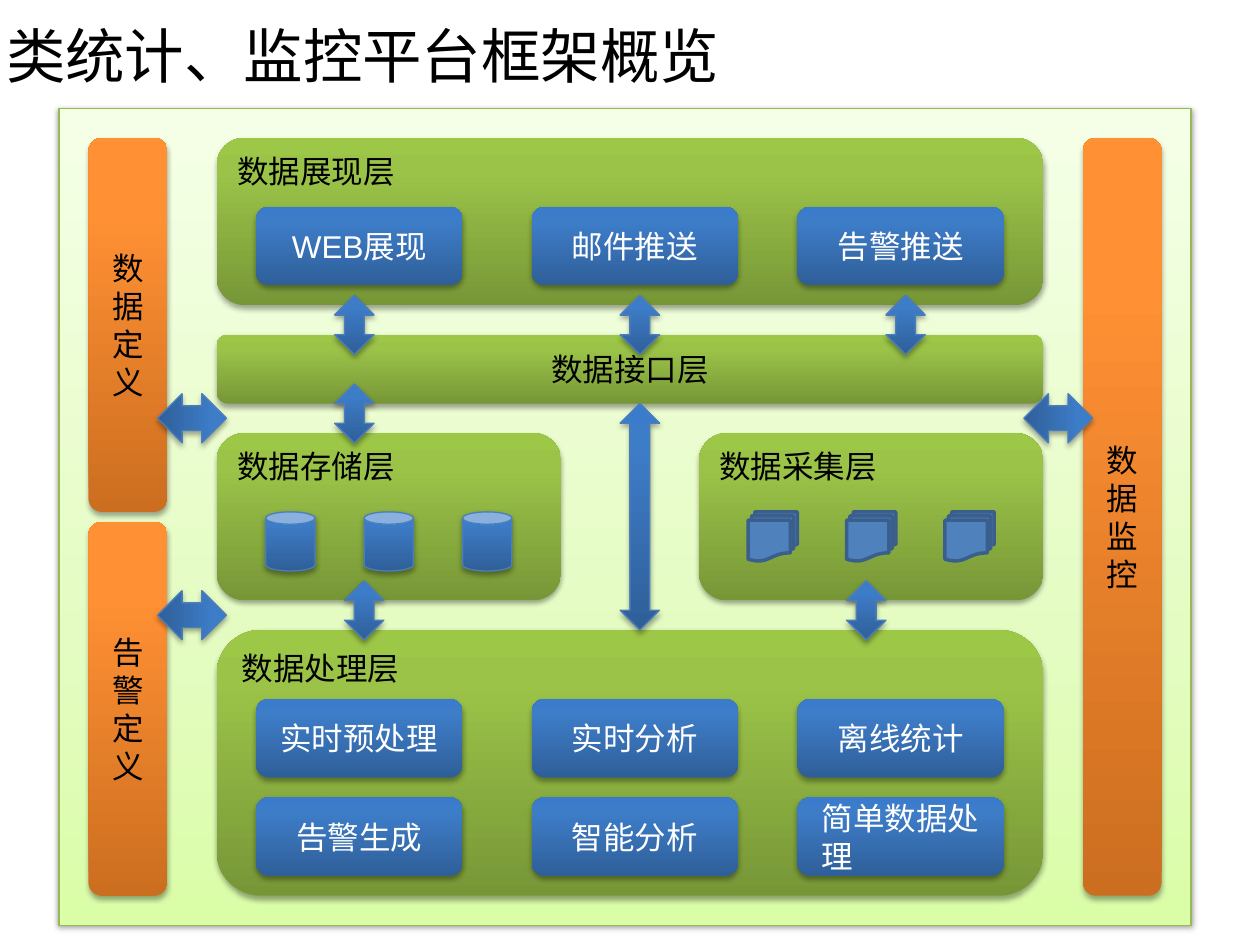
from dataclasses import dataclass

from lxml import etree
from pptx import Presentation
from pptx.dml.color import RGBColor
from pptx.enum.shapes import MSO_SHAPE
from pptx.enum.text import MSO_ANCHOR, MSO_AUTO_SIZE, PP_ALIGN
from pptx.oxml.ns import qn
from pptx.util import Pt

RECT, ROUNDED = MSO_SHAPE.RECTANGLE, MSO_SHAPE.ROUNDED_RECTANGLE
CYLINDER, DOCUMENTS = MSO_SHAPE.CAN, MSO_SHAPE.FLOWCHART_MULTIDOCUMENT
DOUBLE_ARROW = MSO_SHAPE.UP_DOWN_ARROW
TOP, MIDDLE = MSO_ANCHOR.TOP, MSO_ANCHOR.MIDDLE
LEFT, NO_FIT = PP_ALIGN.LEFT, MSO_AUTO_SIZE.NONE
TITLE_ONLY = 5
CELL = 45 / 8  # the diagram lies on a grid of square cells, in points


@dataclass(frozen=True)
class Theme:
    title_font: str = "Calibri"
    body_font: str = "Arial"
    title_size: int = 34
    body_size: int = 18
    dark: str = "000000"
    light: str = "FFFFFF"
    # Gradients run from bottom to top: (percent, colour)
    pale: tuple = ((0, "DAFDA7"), (35, "E4FCC2"), (100, "F5FFE7"))
    green: tuple = ((0, "779737"), (80, "9BC348"), (100, "9DC746"))
    blue: tuple = ((0, "2F5F99"), (80, "3D7CC7"), (100, "3A7CCB"))
    orange: tuple = ((0, "CC6E20"), (80, "FF9034"), (100, "FF9136"))
    canvas_line: str = "98B955"
    blue_line: str = "4B7EBC"
    document: str = "4F81BD"
    document_line: str = "3A5F8C"


THEME = Theme()


@dataclass(frozen=True)
class Box:
    """A rectangle in grid cells."""
    left: float
    top: float
    width: float
    height: float

    def inner(self, left, top, width, height):
        return Box(self.left + left, self.top + top, width, height)

    def lengths(self):
        return [Pt(CELL * n) for n in (self.left, self.top, self.width, self.height)]


def add_node(parent, tag, **attributes):
    node = etree.SubElement(parent, qn(tag))
    for name, value in attributes.items():
        node.set(name, str(value))
    return node


def set_gradient(shape, stops):
    shape.fill.gradient()
    gradient = shape.fill._xPr.find(qn("a:gradFill"))
    gradient.set("rotWithShape", "1")
    for child in list(gradient):
        gradient.remove(child)
    stop_list = add_node(gradient, "a:gsLst")
    for percent, colour in stops:
        stop = add_node(stop_list, "a:gs", pos=percent * 1000)
        add_node(stop, "a:srgbClr", val=colour)
    add_node(gradient, "a:lin", ang=270 * 60000, scaled=0)


def set_shadow(shape, opacity, distance):
    effects = shape._element.spPr.find(qn("a:effectLst"))
    shadow = add_node(effects, "a:outerShdw", blurRad=Pt(3.1), dist=Pt(distance),
                      dir=90 * 60000, rotWithShape=0)
    colour = add_node(shadow, "a:srgbClr", val=THEME.dark)
    add_node(colour, "a:alpha", val=opacity * 1000)


def add_figure(page, kind, box, fill, line=None, line_width=0.75):
    shape = page.shapes.add_shape(kind, *box.lengths())
    if line:
        shape.line.color.rgb = RGBColor.from_string(line)
        shape.line.width = Pt(line_width)
    else:
        shape.line.fill.background()
    shape.shadow.inherit = False
    if isinstance(fill, str):
        shape.fill.solid()
        shape.fill.fore_color.rgb = RGBColor.from_string(fill)
    else:
        set_gradient(shape, fill)
        set_shadow(shape, *((38, 1.6) if kind == RECT else (35, 1.8)))
    return shape


def set_label(shape, text, colour=THEME.dark, centred=True):
    frame = shape.text_frame
    frame.word_wrap = True
    frame.vertical_anchor = MIDDLE if centred else TOP
    if centred:  # centre the text block, keeping its lines left-aligned
        frame._txBody.bodyPr.set("anchorCtr", "1")
    para = frame.paragraphs[0]
    para.text = text
    para.alignment = LEFT
    para.font.name = THEME.body_font
    para.font.size = Pt(THEME.body_size)
    para.font.color.rgb = RGBColor.from_string(colour)


def add_title(page, text):
    title = page.shapes.title
    title.left, title.top, title.width, title.height = Pt(-3.75), Pt(-13.5), Pt(648), Pt(90)
    frame = title.text_frame
    frame.auto_size = NO_FIT
    frame.vertical_anchor = MIDDLE
    para = frame.paragraphs[0]
    para.text = text
    para.alignment = LEFT
    para.font.name = THEME.title_font
    para.font.size = Pt(THEME.title_size)
    para.font.color.rgb = RGBColor.from_string(THEME.dark)


def add_layer(page, box, text, centred=False):
    set_label(add_figure(page, ROUNDED, box, THEME.green), text, centred=centred)


def add_module_layer(page, box, text, rows):
    """A layer with rows of three labelled modules."""
    add_layer(page, box, text)
    for row, names in enumerate(rows):
        for left, name in zip((4, 32, 59), names):
            place = box.inner(left, 7 + 10 * row, 21, 8)
            set_label(add_figure(page, ROUNDED, place, THEME.blue), name, THEME.light)


def add_icon_layer(page, box, text, kind, icon_height, **style):
    """A layer with three equal icons."""
    add_layer(page, box, text)
    for column in range(3):
        add_figure(page, kind, box.inner(5 + 10 * column, 8, 5, icon_height), **style)


def add_side_bar(page, box, text):
    set_label(add_figure(page, ROUNDED, box, THEME.orange), text)


def add_arrow(page, box, rotation=0):
    arrow = add_figure(page, DOUBLE_ARROW, box, THEME.blue, THEME.blue_line)
    arrow.rotation = rotation


def add_framework(page, box):
    add_figure(page, RECT, box, THEME.pale, THEME.canvas_line)

    # Layers
    add_layer(page, box.inner(16, 23, 84, 7), "数据接口层", centred=True)
    add_module_layer(page, box.inner(16, 53, 84, 27), "数据处理层",
                     (("实时预处理", "实时分析", "离线统计"),
                      ("告警生成", "智能分析", "简单数据处理")))
    add_module_layer(page, box.inner(16, 3, 84, 17), "数据展现层",
                     (("WEB展现", "邮件推送", "告警推送"),))
    add_icon_layer(page, box.inner(16, 33, 35, 17), "数据存储层", CYLINDER, 6,
                   fill=THEME.blue, line=THEME.blue_line)
    add_icon_layer(page, box.inner(65, 33, 35, 17), "数据采集层", DOCUMENTS, 5,
                   fill=THEME.document, line=THEME.document_line, line_width=2)

    # Side bars
    add_side_bar(page, box.inner(3, 3, 8, 38), "数据定义")
    add_side_bar(page, box.inner(3, 42, 8, 38), "告警定义")
    add_side_bar(page, box.inner(104, 3, 8, 77), "数据监控")

    # Arrows between layers, then between layers and side bars
    for left, top in ((28, 19), (57, 19), (84, 19), (28, 28), (29, 48), (80, 48)):
        add_arrow(page, box.inner(left, top, 4, 6))
    add_arrow(page, box.inner(57, 30, 4, 23))
    for left, top in ((11, 28), (99, 28), (11, 48)):
        add_arrow(page, box.inner(left, top, 5, 7), rotation=90)


def main():
    deck = Presentation()
    deck.slide_width, deck.slide_height = Pt(720), Pt(540)
    page = deck.slides.add_slide(deck.slide_layouts[TITLE_ONLY])
    add_title(page, "类统计、监控平台框架概览")
    add_framework(page, Box(6, 11, 115, 83))
    deck.save("out.pptx")


if __name__ == "__main__":
    main()
